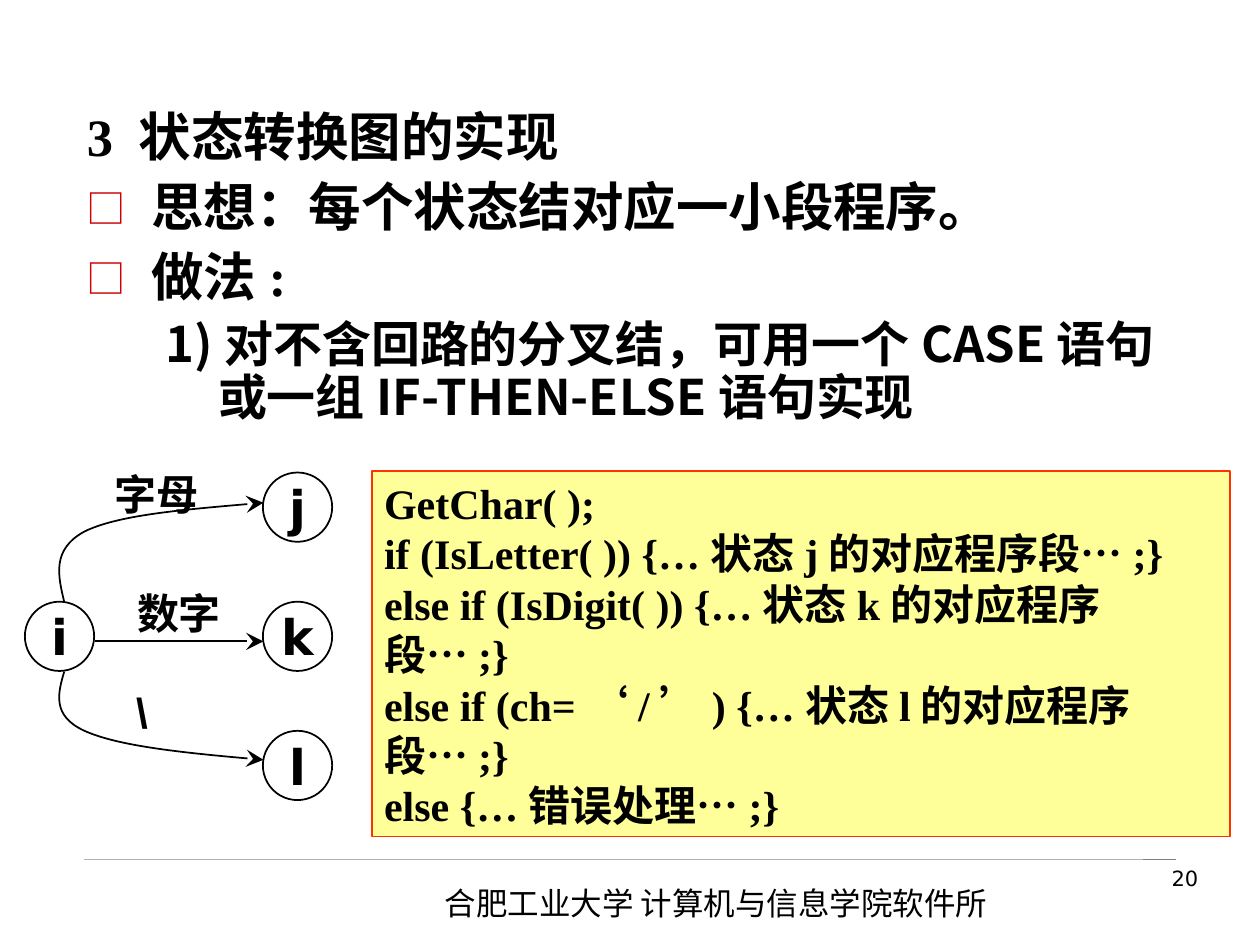
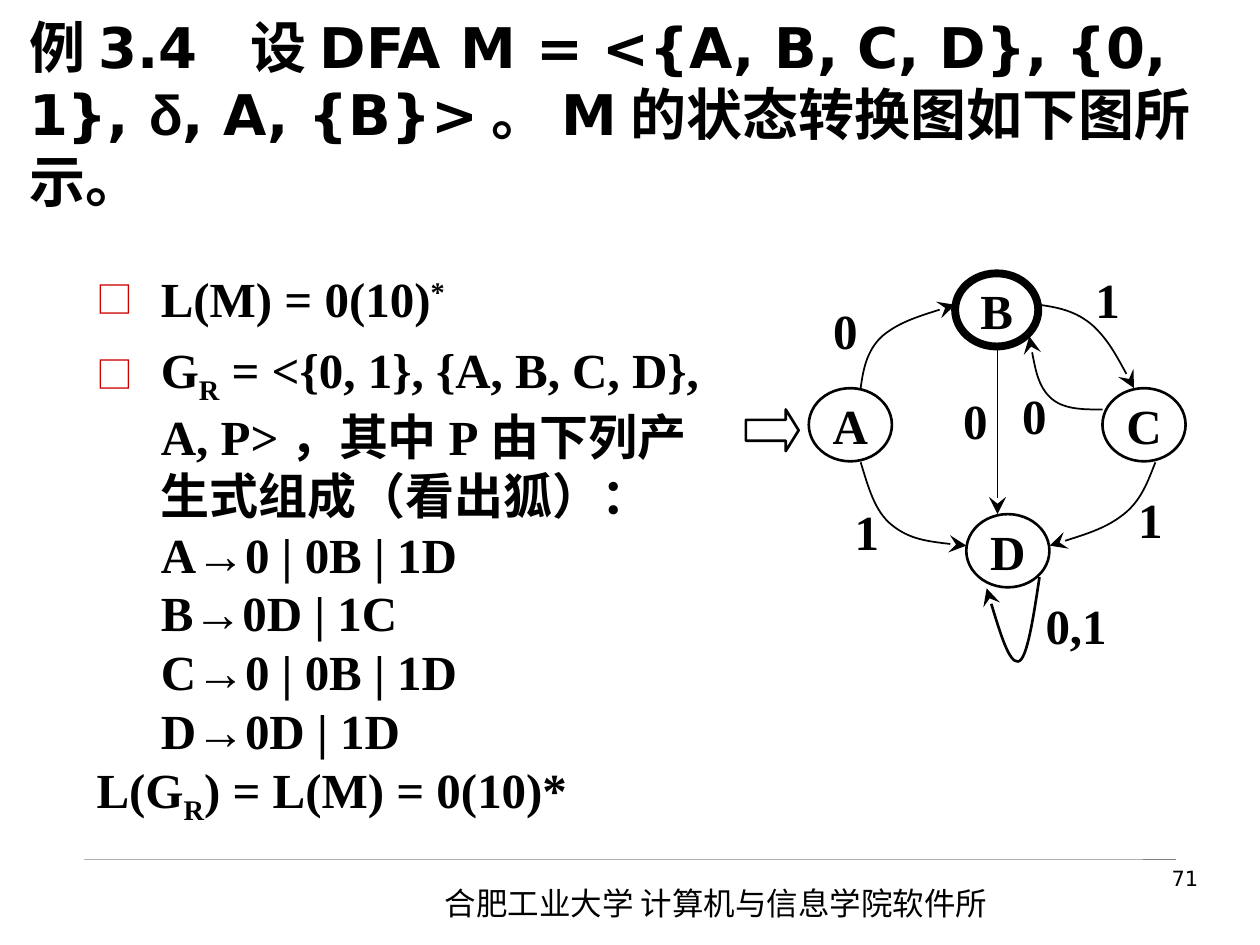
from dataclasses import dataclass

import lxml.etree
import pptx
import pptx.dml.color
import pptx.enum.shapes
import pptx.enum.text
import pptx.oxml.ns
import pptx.util

Pt = pptx.util.Pt
RGB = pptx.dml.color.RGBColor
SHAPE = pptx.enum.shapes.MSO_SHAPE
ALIGN = pptx.enum.text.PP_ALIGN
ANCHOR = pptx.enum.text.MSO_ANCHOR
qn = pptx.oxml.ns.qn

# Shared colours and fonts
BLACK = RGB(0x00, 0x00, 0x00)
BULLET_RED = RGB(0xCC, 0x00, 0x00)
RULE_GREY = RGB(0xB2, 0xB2, 0xB2)
RULE_DARK = RGB(0x80, 0x80, 0x80)
CODE_FILL = RGB(0xFF, 0xFF, 0x99)
CODE_LINE = RGB(0xFF, 0x33, 0x00)
SERIF = "Times New Roman"
SANS = "DejaVu Sans"
LABEL_FONT = "Arial"
CHINESE = "Noto Sans CJK SC"
FOOTER = "合肥工业大学 计算机与信息学院软件所"


@dataclass
class Style:
    font: str
    size: float
    bold: bool = True
    align: ALIGN = ALIGN.CENTER


@dataclass
class Item:
    """A list paragraph; runs are (text, baseline percent) pairs."""
    runs: list[tuple[str, int]]
    style: Style
    margin: float = 36.7
    indent: float = -36.7
    bullet: bool = False
    before: float = 0
    spacing: float = 1.0
    level: int = 0


@dataclass
class State:
    name: str
    left: float
    top: float
    line: float = 1.5


@dataclass
class Label:
    text: str
    left: float
    top: float
    width: float = 66.2
    height: float = 41.8


@dataclass
class Edge:
    """Two points make a straight arrow, seven make two Bézier curves."""
    points: list[tuple[float, float]]
    line: float = 1


def add_child(parent, tag: str, **attributes: str):
    child = lxml.etree.SubElement(parent, qn(tag))
    for key, value in attributes.items():
        child.set(key, value)
    return child


def style_paragraph(paragraph, style: Style) -> None:
    paragraph.alignment = style.align
    font = paragraph.font
    font.name, font.size, font.bold = style.font, Pt(style.size), style.bold
    font.color.rgb = BLACK
    defaults = paragraph._p.get_or_add_pPr().get_or_add_defRPr()
    add_child(defaults, "a:ea", typeface=CHINESE)


def write_lines(frame, lines: list[str], style: Style) -> None:
    for number, line in enumerate(lines):
        paragraph = frame.add_paragraph() if number else frame.paragraphs[0]
        paragraph.add_run().text = line
        style_paragraph(paragraph, style)


def place(shape, left: float, top: float, width: float, height: float) -> None:
    shape.left, shape.top = Pt(left), Pt(top)
    shape.width, shape.height = Pt(width), Pt(height)


def add_text(slide, text: str, box: tuple, style: Style, wrap: bool = True,
             anchor: ANCHOR = ANCHOR.TOP) -> None:
    frame = slide.shapes.add_textbox(*map(Pt, box)).text_frame
    frame.word_wrap = wrap
    frame.vertical_anchor = anchor
    write_lines(frame, [text], style)


def add_outline(slide, kind: SHAPE, box: tuple, line: float, color: RGB = BLACK):
    shape = slide.shapes.add_shape(kind, *map(Pt, box))
    shape.shadow.inherit = False
    shape.fill.background()
    shape.line.color.rgb = color
    shape.line.width = Pt(line)
    return shape


def add_line(slide, start: tuple, end: tuple, color: RGB, width: float):
    line = slide.shapes.add_connector(
        pptx.enum.shapes.MSO_CONNECTOR.STRAIGHT, *map(Pt, start + end))
    line.line.color.rgb = color
    line.line.width = Pt(width)
    add_child(line._element.spPr, "a:effectLst")
    return line


def add_curve(slide, points: list[tuple[float, float]], width: float):
    emu = [(Pt(x), Pt(y)) for x, y in points]
    builder = slide.shapes.build_freeform(*emu[0])
    builder.add_line_segments(emu[1:], close=False)
    curve = builder.convert_to_shape()
    curve.shadow.inherit = False
    curve.fill.background()
    curve.line.color.rgb = BLACK
    curve.line.width = Pt(width)
    # Every three straight segments become one cubic Bézier
    outline = next(curve._element.iter(qn("a:path")))
    segments = outline.findall(qn("a:lnTo"))
    for first in range(0, len(segments), 3):
        bezier = add_child(outline, "a:cubicBezTo")
        for segment in segments[first:first + 3]:
            bezier.append(segment[0])
            outline.remove(segment)
    return curve


def add_edge(slide, edge: Edge) -> None:
    if len(edge.points) == 2:
        arrow = add_line(slide, *edge.points, BLACK, edge.line)
    else:
        arrow = add_curve(slide, edge.points, edge.line)
    stroke = arrow._element.spPr.find(qn("a:ln"))
    add_child(stroke, "a:tailEnd", type="stealth", w="lg", len="lg")


def add_diagram(slide, states: list[State], size: tuple, state_style: Style,
                edges: list[Edge], labels: list[Label], label_style: Style) -> None:
    for state in states:
        circle = add_outline(slide, SHAPE.OVAL, (state.left, state.top, *size), state.line)
        frame = circle.text_frame
        frame.word_wrap = False
        frame.vertical_anchor = ANCHOR.MIDDLE
        write_lines(frame, [state.name], state_style)
    for edge in edges:
        add_edge(slide, edge)
    for label in labels:
        box = (label.left, label.top, label.width, label.height)
        add_text(slide, label.text, box, label_style, False, ANCHOR.MIDDLE)


def fill_body(slide, box: tuple, items: list[Item]) -> None:
    body = slide.placeholders[1]
    place(body, *box)
    frame = body.text_frame
    frame.auto_size = pptx.enum.text.MSO_AUTO_SIZE.NONE
    for number, item in enumerate(items):
        paragraph = frame.add_paragraph() if number else frame.paragraphs[0]
        paragraph.level = item.level
        paragraph.line_spacing = item.spacing
        paragraph.space_before = Pt(item.before)
        properties = paragraph._p.get_or_add_pPr()
        properties.set("marL", str(Pt(item.margin)))
        properties.set("indent", str(Pt(item.indent)))
        if item.bullet:
            color = add_child(properties, "a:buClr")
            add_child(color, "a:srgbClr", val=str(BULLET_RED))
            add_child(properties, "a:buSzPct", val="75000")
            add_child(properties, "a:buFont", typeface=CHINESE)
            add_child(properties, "a:buChar", char="□")
        else:
            add_child(properties, "a:buNone")
        for text, baseline in item.runs:
            run = paragraph.add_run()
            run.text = text
            if baseline:
                run._r.get_or_add_rPr().set("baseline", str(baseline * 1000))
        style_paragraph(paragraph, item.style)


def add_page(deck, number: str):
    """Adds a slide with the footer rule, footer and page number."""
    slide = deck.slides.add_slide(deck.slide_layouts[1])
    add_line(slide, (48, 491), (672, 491), RULE_GREY, 0.25)
    add_line(slide, (653, 491), (672, 491), RULE_DARK, 0.25)
    add_text(slide, FOOTER, (247, 501.8, 340, 28.8), Style(CHINESE, 18, False, ALIGN.LEFT))
    add_text(slide, number, (535.7, 491, 156.2, 37.4), Style(SANS, 12, False, ALIGN.RIGHT))
    return slide


def build_implementation(deck) -> None:
    slide = add_page(deck, "20")
    title = slide.shapes.title._element
    title.getparent().remove(title)

    # Idea and method
    text = Style(SERIF, 30, align=ALIGN.LEFT)
    fill_body(slide, (42.5, 60, 648, 419.8), [
        Item([("3 状态转换图的实现", 0)], text, spacing=0.9),
        Item([("思想：每个状态结对应一小段程序。", 0)], text, bullet=True, before=7.5, spacing=0.9),
        Item([("做法:", 0)], text, bullet=True, before=7.5, spacing=0.9),
        Item([("1)对不含回路的分叉结，可用一个CASE语句或一组IF-THEN-ELSE语句实现", 0)],
             Style(CHINESE, 28, align=ALIGN.LEFT), 74.9, -30.2,
             before=7, spacing=0.9, level=1),
    ])

    # Program for state i
    code = add_outline(slide, SHAPE.RECTANGLE, (212.4, 269.3, 490.3, 208.8), 1, CODE_LINE)
    code.fill.solid()
    code.fill.fore_color.rgb = CODE_FILL
    code.text_frame.word_wrap = True
    code.text_frame.vertical_anchor = ANCHOR.MIDDLE
    write_lines(code.text_frame, [
        "GetChar( );",
        "if (IsLetter( )) {…状态j的对应程序段…;}",
        "else if (IsDigit( )) {…状态k的对应程序段…;}",
        "else if (ch=‘/’) {…状态l的对应程序段…;}",
        "else {…错误处理…;}",
    ], Style(SERIF, 24, align=ALIGN.LEFT))

    # Branching states
    targets = [State(name, 150.2, 270 + 73.8 * row, 1) for row, name in enumerate("jkl")]
    edges = [
        Edge([(54, 366.5), (150.5, 366.5)]),
        Edge([(36.7, 344), (33.1, 329), (29.5, 314), (48.2, 303.8),
              (67, 294.5), (108.7, 290.9), (150.5, 287.3)]),
        Edge([(36.7, 383.8), (33.1, 396), (29.5, 409), (48.2, 417.6),
              (67, 426.2), (108.7, 430.6), (150.5, 434.2)]),
    ]
    labels = [
        Label("字母", 49.3, 264.2, 80, 36),
        Label("数字", 62.3, 332, 80, 36),
        Label("\\", 61.1, 388.8, 40, 36),
    ]
    add_diagram(slide, [State("i", 14.2, 343.8, 1), *targets], (39.6, 39.6),
                Style(SANS, 28), edges, labels, Style(LABEL_FONT, 24))


def build_example(deck) -> None:
    slide = add_page(deck, "71")

    # Title
    title = slide.shapes.title
    place(title, 9.4, 36, 702, 90)
    frame = title.text_frame
    frame.auto_size = pptx.enum.text.MSO_AUTO_SIZE.NONE
    frame.vertical_anchor = ANCHOR.BOTTOM
    heading = frame.paragraphs[0]
    for part in ("例3.4", " ", "设DFA M = <{A, B, C, D}, {0, 1}, ", "δ",
                 ", A, {B}>。M的状态转换图如下图所示。"):
        run = heading.add_run()
        run.text = part
        if part == "δ":
            run.font.name = LABEL_FONT
        elif part == " ":  # wide gap after the example number
            run._r.get_or_add_rPr().set("spc", "1100")
    style_paragraph(heading, Style(SANS, 32, align=ALIGN.LEFT))

    # Language and grammar
    text = Style(SERIF, 28, align=ALIGN.LEFT)
    productions = ["A→0 | 0B | 1D", "B→0D | 1C", "C→0 | 0B | 1D", "D→0D | 1D"]
    fill_body(slide, (48, 149.8, 372.2, 342), [
        Item([("L(M) = 0(10)", 0), ("*", 30)], text, bullet=True),
        Item([("G", 0), ("R", -25),
              (" = <{0, 1}, {A, B, C, D}, A, P>，其中P由下列产生式组成（看出狐）：", 0)],
             text, bullet=True, before=7),
        *[Item([(rule, 0)], text, 71.3, -34.6, level=1) for rule in productions],
        Item([("L(G", 0), ("R", -25), (") = L(M) = 0(10)*", 0)], text),
    ])

    # State diagram
    states = [State("A", 462.2, 221.8), State("B", 545.8, 156.2, 4.5),
              State("C", 630, 221.8), State("D", 552.2, 293.8)]
    edges = [
        Edge([(594, 329.8), (590.4, 353.5), (586.8, 377.3), (581.8, 378),
              (576.7, 378.7), (570.2, 357.8), (563.8, 336.2)], 1.5),
        Edge([(570, 198), (570, 293.8)]),
        Edge([(491.8, 221.8), (493.2, 211), (495.4, 200.2), (504, 192.2),
              (513.4, 184.3), (529.2, 179.3), (545.8, 174.2)]),
        Edge([(491.8, 264.2), (496.1, 277.9), (499.7, 292.3), (509.8, 300.2),
              (519.8, 308.2), (535.7, 310.3), (552.2, 311.8)]),
        Edge([(630, 234), (618.5, 234), (607, 234), (599.8, 226.8),
              (593.3, 220.3), (590.4, 205.9), (588.2, 192.2)]),
        Edge([(594, 174.2), (604.8, 175.7), (614.9, 177.8), (624.2, 185.8),
              (632.9, 193.7), (640.8, 208.1), (648, 221.8)]),
        Edge([(660.2, 264.2), (655.9, 275), (652.3, 285.8), (642.2, 293.8),
              (632.2, 301.7), (616.3, 306.7), (599.8, 311.8)]),
    ]
    labels = [Label("1", 599.8, 149.8), Label("0", 450, 167.8), Label("0,1", 581.8, 336.2),
              Label("1", 462.2, 282.2), Label("1", 624.2, 275.8), Label("0", 558, 216),
              Label("0", 524.2, 218.9)]
    symbol = Style(SERIF, 28)
    add_diagram(slide, states, (47.5, 41.8), symbol, edges, labels, symbol)
    entry = add_outline(slide, SHAPE.RIGHT_ARROW, (426.2, 234, 30.2, 23.8), 1.5)
    entry.adjustments[0], entry.adjustments[1] = 0.5, 0.31


def main() -> None:
    deck = pptx.Presentation()
    deck.slide_width, deck.slide_height = Pt(720), Pt(540)
    build_implementation(deck)
    build_example(deck)
    deck.save("out.pptx")


if __name__ == "__main__":
    main()
